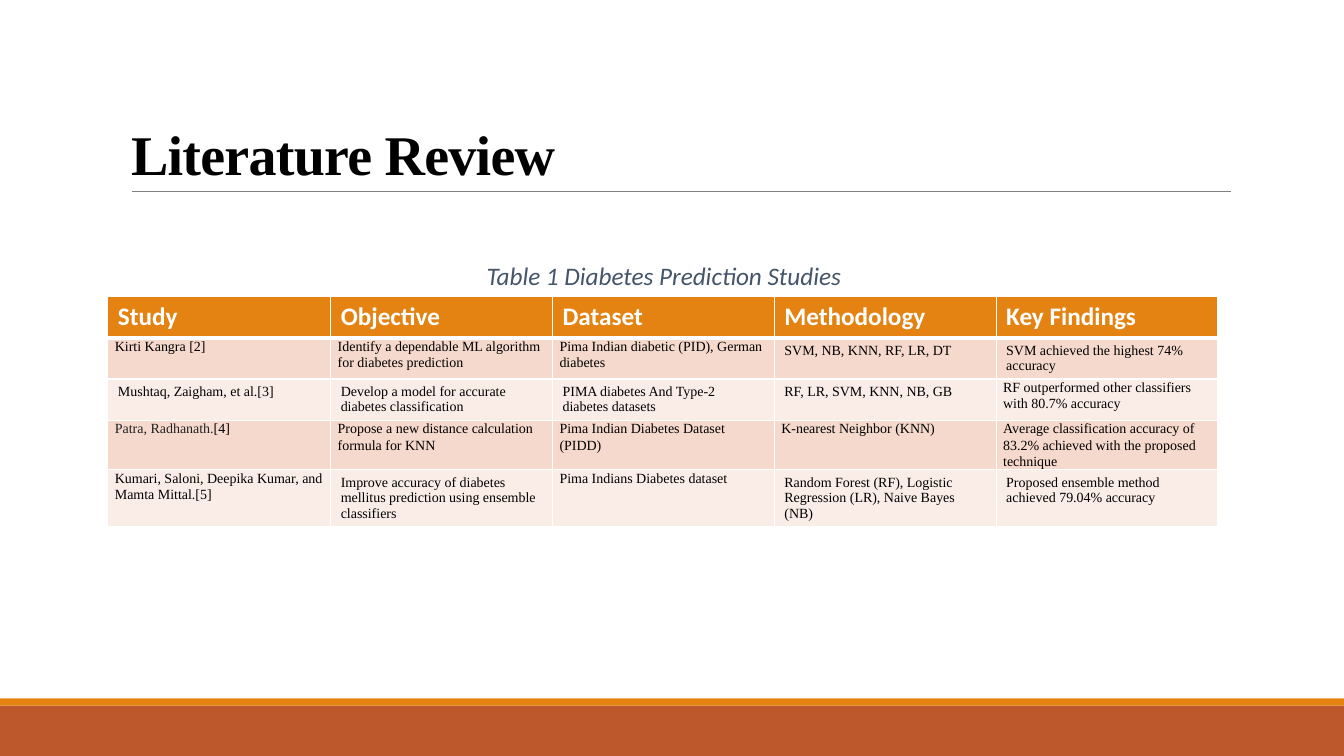
"""Build the literature review slide with its table of diabetes prediction studies."""

from dataclasses import dataclass

from lxml.etree import SubElement
from pptx import Presentation
from pptx.dml.color import RGBColor
from pptx.enum.shapes import MSO_CONNECTOR, MSO_SHAPE
from pptx.enum.text import MSO_ANCHOR, MSO_AUTO_SIZE, PP_ALIGN
from pptx.oxml.ns import qn
from pptx.slide import Slide
from pptx.table import _Cell
from pptx.text.text import TextFrame
from pptx.util import Inches, Pt

BLACK = RGBColor(0x00, 0x00, 0x00)
CHARCOAL = RGBColor(0x22, 0x22, 0x22)
WHITE = RGBColor(0xFF, 0xFF, 0xFF)
GRAY = RGBColor(0x80, 0x80, 0x80)
SLATE = RGBColor(0x44, 0x54, 0x6A)
ORANGE = RGBColor(0xE4, 0x83, 0x12)
RUST = RGBColor(0xBD, 0x58, 0x2C)
BANDS = (RGBColor(0xF5, 0xD9, 0xCC), RGBColor(0xFA, 0xED, 0xE7))
SERIF = "Times New Roman"
SANS = "Calibri"


@dataclass(frozen=True)
class Bar:
    top: float
    height: float
    color: RGBColor


@dataclass(frozen=True)
class Entry:
    text: str
    compact: bool = False
    lead: str = ""


FOOTER_BARS = (Bar(7, 0.5, RUST), Bar(6.93, 0.07, ORANGE))
HEADINGS = ("Study", "Objective", "Dataset", "Methodology", "Key Findings")
COLUMN_WIDTHS = (2.21, 2.2, 2.2, 2.2, 2.2)
ROW_HEIGHT = 0.41
STUDIES = (
    (
        Entry("Kirti Kangra [2]", compact=True),
        Entry("Identify a dependable ML algorithm for diabetes prediction", compact=True),
        Entry("Pima Indian diabetic (PID), German diabetes", compact=True),
        Entry("SVM, NB, KNN, RF, LR, DT"),
        Entry("SVM achieved the highest 74% accuracy"),
    ),
    (
        Entry("Mushtaq, Zaigham, et al.[3]"),
        Entry("Develop a model for accurate diabetes classification"),
        Entry("PIMA diabetes And Type-2 diabetes datasets"),
        Entry("RF, LR, SVM, KNN, NB, GB"),
        Entry("RF outperformed other classifiers with 80.7% accuracy", compact=True),
    ),
    (
        Entry("[4]", compact=True, lead="Patra, Radhanath."),
        Entry("Propose a new distance calculation formula for KNN", compact=True),
        Entry("Pima Indian Diabetes Dataset (PIDD)", compact=True),
        Entry("K-nearest Neighbor (KNN)", compact=True),
        Entry(
            "Average classification accuracy of 83.2% achieved with the proposed technique",
            compact=True,
        ),
    ),
    (
        Entry("Kumari, Saloni, Deepika Kumar, and Mamta Mittal.[5]", compact=True),
        Entry("Improve accuracy of diabetes mellitus prediction using ensemble classifiers"),
        Entry("Pima Indians Diabetes dataset", compact=True),
        Entry("Random Forest (RF), Logistic Regression (LR), Naive Bayes (NB)"),
        Entry("Proposed ensemble method achieved 79.04% accuracy"),
    ),
)


def add_text(
    frame: TextFrame,
    text: str,
    *,
    font: str,
    size: float,
    color: RGBColor,
    bold: bool = False,
    italic: bool = False,
    align: PP_ALIGN = PP_ALIGN.LEFT,
    line_spacing: float = 1.0,
    space_after: float = 0,
    tracking: float = 0,
) -> None:
    paragraph = frame.paragraphs[0]
    paragraph.alignment = align
    paragraph.line_spacing = line_spacing
    paragraph.space_after = Pt(space_after)
    run = paragraph.add_run()
    run.text = text
    run.font.name = font
    run.font.size = Pt(size)
    run.font.bold = bold
    run.font.italic = italic
    run.font.color.rgb = color
    if tracking:
        run._r.get_or_add_rPr().set("spc", str(round(tracking * 100)))


def add_footer_bar(slide: Slide, bar: Bar) -> None:
    shape = slide.shapes.add_shape(
        MSO_SHAPE.RECTANGLE, 0, Inches(bar.top), Inches(13.33), Inches(bar.height)
    )
    shape.shadow.inherit = False
    shape.fill.solid()
    shape.fill.fore_color.rgb = bar.color
    shape.line.fill.background()


def add_title(slide: Slide) -> None:
    rule = slide.shapes.add_connector(
        MSO_CONNECTOR.STRAIGHT, Inches(1.31), Inches(1.9), Inches(12.21), Inches(1.9)
    )
    rule.line.color.rgb = GRAY
    rule.line.width = Pt(0.5)
    SubElement(rule._element.spPr, qn("a:effectLst"))
    title = slide.shapes.title
    title.left, title.top = Inches(1.2), Inches(0.31)
    title.width, title.height = Inches(11), Inches(1.59)
    frame = title.text_frame
    frame.auto_size = MSO_AUTO_SIZE.NONE
    frame.vertical_anchor = MSO_ANCHOR.BOTTOM
    add_text(frame, "Literature Review", font=SERIF, size=40, color=BLACK,
             bold=True, line_spacing=0.85, tracking=-0.5)


def style_cell(cell: _Cell, fill: RGBColor, top: float = 1, bottom: float = 1) -> None:
    properties = cell._tc.get_or_add_tcPr()
    for side, width in (("L", 1), ("R", 1), ("T", top), ("B", bottom)):
        border = SubElement(properties, qn(f"a:ln{side}"), w=str(Pt(width)))
        solid = SubElement(border, qn("a:solidFill"))
        SubElement(solid, qn("a:srgbClr"), val=str(WHITE))
    cell.fill.solid()
    cell.fill.fore_color.rgb = fill


def fill_entry(cell: _Cell, entry: Entry) -> None:
    spacing = {}
    if entry.compact:
        cell.margin_left = cell.margin_right = Inches(0.07)
        cell.margin_top = cell.margin_bottom = 0
        spacing = {"line_spacing": 1.07, "space_after": 8}
    for text, color in ((entry.lead, CHARCOAL), (entry.text, BLACK)):
        if text:
            add_text(cell.text_frame, text, font=SERIF, size=10, color=color, **spacing)


def add_study_table(slide: Slide) -> None:
    row_count = len(STUDIES) + 1
    table = slide.shapes.add_table(
        row_count, len(HEADINGS), Inches(1.07), Inches(2.94),
        Inches(sum(COLUMN_WIDTHS)), Inches(ROW_HEIGHT * row_count),
    ).table
    for column, width in zip(table.columns, COLUMN_WIDTHS):
        column.width = Inches(width)
    for row in table.rows:
        row.height = Inches(ROW_HEIGHT)
    for column_index, heading in enumerate(HEADINGS):
        cell = table.cell(0, column_index)
        style_cell(cell, ORANGE, bottom=3)
        add_text(cell.text_frame, heading, font=SANS, size=18, color=WHITE, bold=True)
    for row_index, study in enumerate(STUDIES):
        for column_index, entry in enumerate(study):
            cell = table.cell(row_index + 1, column_index)
            style_cell(cell, BANDS[row_index % 2], top=1 if row_index else 3)
            fill_entry(cell, entry)


def add_caption(slide: Slide) -> None:
    caption = slide.shapes.add_textbox(Inches(3.25), Inches(2.53), Inches(6.67), Inches(0.4))
    frame = caption.text_frame
    frame.word_wrap = True
    frame.auto_size = MSO_AUTO_SIZE.SHAPE_TO_FIT_TEXT
    add_text(frame, "Table 1 Diabetes Prediction Studies", font=SANS, size=18,
             color=SLATE, italic=True, align=PP_ALIGN.CENTER, space_after=10)


def main() -> None:
    presentation = Presentation()
    presentation.slide_width, presentation.slide_height = Inches(13.33), Inches(7.5)
    slide = presentation.slides.add_slide(presentation.slide_layouts[5])
    for bar in FOOTER_BARS:
        add_footer_bar(slide, bar)
    add_title(slide)
    add_study_table(slide)
    add_caption(slide)
    presentation.save("out.pptx")


if __name__ == "__main__":
    main()
